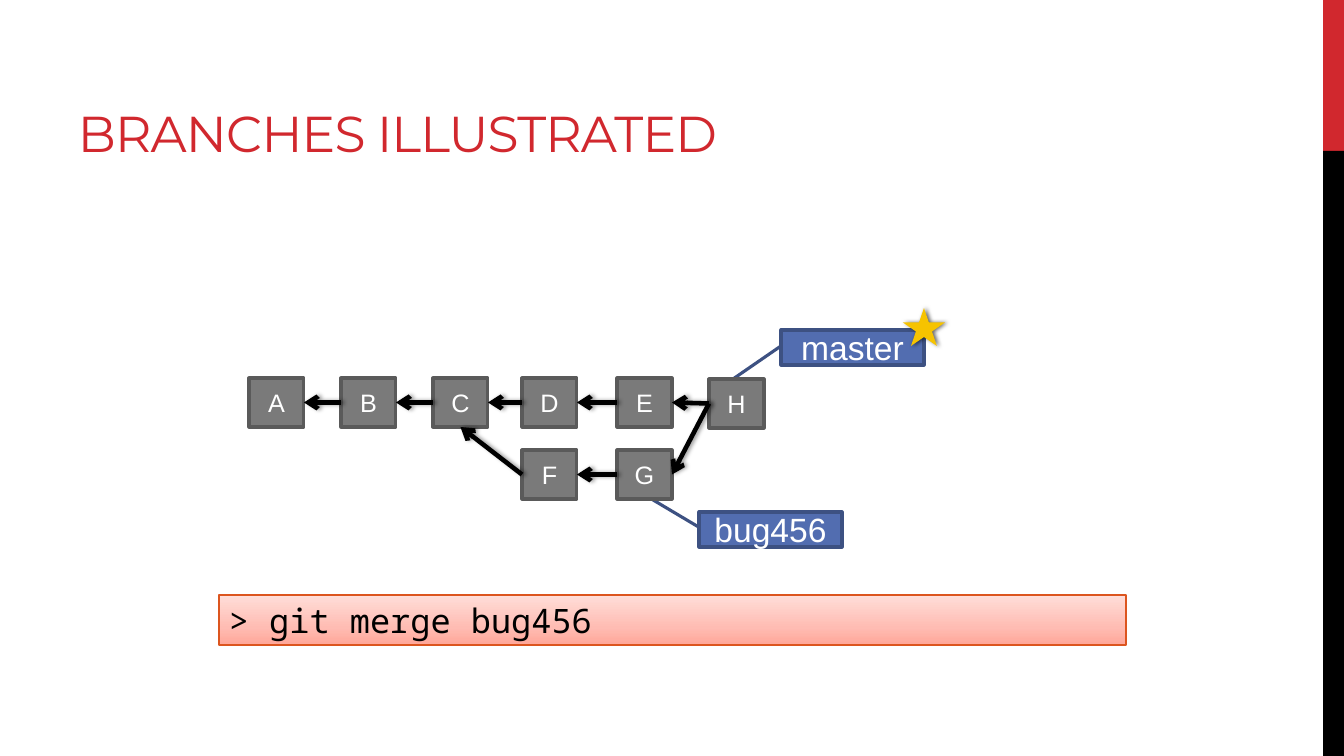
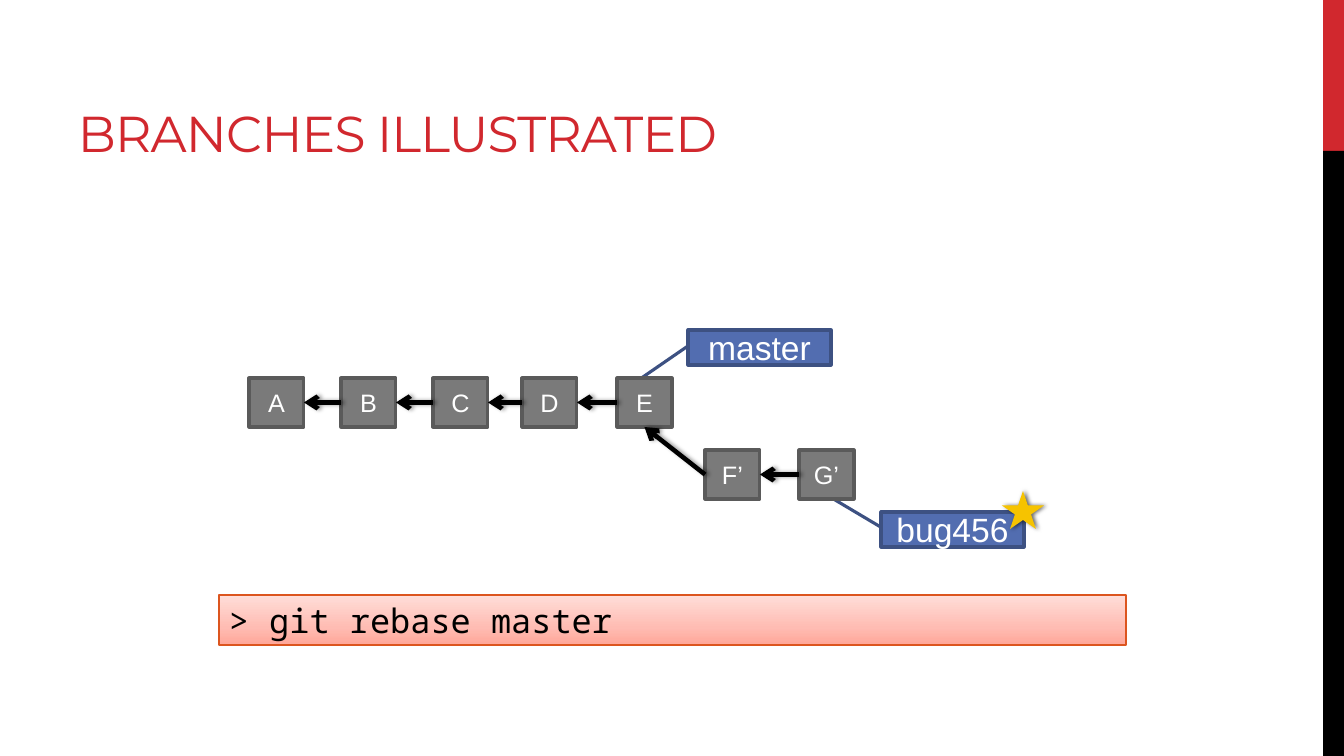
import copy
import pptx
import pptx.util
import pptx.dml.color
import pptx.enum.shapes
import pptx.enum.text
import pptx.oxml
import pptx.oxml.ns

PX = 9071  # EMU in one px
RED, BLACK, WHITE = "D1282E", "000000", "FFFFFF"
GREY, DARK = "7A7A7A", "5A5A5A"
BLUE, NAVY, GOLD, RUST = "526DB0", "3D5182", "F6C300", "DC551F"
BLUSH = [(0, "FFA698"), (0.35, "FFBCB3"), (1, "FFDED9")]
NODE_W, NODE_H = 55, 49
TOP, LOW = 378, 450

Pt = pptx.util.Pt
rgb = pptx.dml.color.RGBColor.from_string
form = pptx.enum.shapes.MSO_SHAPE
align = pptx.enum.text.PP_ALIGN
anchor = pptx.enum.text.MSO_ANCHOR
fit = pptx.enum.text.MSO_AUTO_SIZE


def box(slide, kind, at, fill, edge=None, text="", size=18):
    shape = slide.shapes.add_shape(kind, *[n * PX for n in at])
    shape.fill.solid()
    shape.fill.fore_color.rgb = rgb(fill)
    if edge:
        shape.line.color.rgb = rgb(edge)
        shape.line.width = Pt(2.25)
    else:
        shape.line.fill.background()
    if kind != form.STAR_5_POINT:
        shape.shadow.inherit = False
    if text:
        shape.text_frame.vertical_anchor = anchor.MIDDLE
        para = shape.text_frame.paragraphs[0]
        para.text = text
        para.alignment = align.CENTER
        para.font.name = "Arial"
        para.font.size = Pt(size)
        para.font.color.rgb = rgb(WHITE)
    return shape


def shade(shape, alpha, blur, dist):
    shape._element.spPr.append(pptx.oxml.parse_xml(
        f'<a:effectLst {pptx.oxml.ns.nsdecls("a")}>'
        f'<a:outerShdw blurRad="{Pt(blur)}" dist="{Pt(dist)}" dir="0" rotWithShape="0">'
        f'<a:srgbClr val="{BLACK}"><a:alpha val="{alpha * 1000}"/></a:srgbClr>'
        '</a:outerShdw></a:effectLst>'))


# Content: nodes (name, left, top), arrows (from, to, side of target),
# labels (text, left, top, pointer), star place, command
LEFT, BELOW = 1, 2
RIGHT = 3
MAIN = [("A", 249, TOP), ("B", 341, TOP), ("C", 433, TOP),
        ("D", 522, TOP), ("E", 617, TOP)]
CHAIN = [(b[0], a[0], RIGHT) for a, b in zip(MAIN, MAIN[1:])]
UP = [0.446, 0.004, 1.383, -0.329]
DOWN = [0.446, 0.004, -0.389, -0.34]
PAGES = [
    (MAIN + [("F", 522, LOW), ("G", 617, LOW), ("H", 709, TOP + 1)],
     CHAIN + [("F", "C", BELOW), ("G", "F", RIGHT),
              ("H", "E", RIGHT), ("H", "G", RIGHT)],
     [("master", 781, 330, UP), ("bug456", 699, 512, DOWN)],
     (903, 308), "> git merge bug456"),
    (MAIN + [("F’", 705, LOW), ("G’", 799, LOW)],
     CHAIN + [("F’", "E", BELOW), ("G’", "F’", RIGHT)],
     [("master", 688, 330, UP), ("bug456", 881, 512, DOWN)],
     (1002, 491), "> git rebase master"),
]

deck = pptx.Presentation()
deck.slide_width, deck.slide_height = 1344 * PX, 756 * PX

for nodes, arrows, labels, star, code in PAGES:
    slide = deck.slides.add_slide(deck.slide_layouts[6])

    # Side band
    box(slide, form.RECTANGLE, (1323, 0, 21, 151), RED)
    box(slide, form.RECTANGLE, (1323, 151, 21, 605), BLACK)

    # Title
    title = slide.shapes.add_textbox(68 * PX, 17 * PX, 851 * PX, 151 * PX)
    title.text_frame.word_wrap = True
    title.text_frame.vertical_anchor = anchor.BOTTOM
    para = title.text_frame.paragraphs[0]
    para.text = "BRANCHES ILLUSTRATED"
    para.font.name = "Montserrat"
    para.font.size = Pt(36)
    para.font.color.rgb = rgb(RED)
    para.runs[0].font._element.set("spc", "-60")

    # Branch labels
    for text, x, y, tip in labels:
        label = box(slide, form.LINE_CALLOUT_1, (x, y, 143, 35), BLUE, NAVY, text, 24)
        for i, part in enumerate(tip):
            label.adjustments[i] = part

    # Commits
    made = {name: box(slide, form.RECTANGLE, (x, y, NODE_W, NODE_H), GREY, DARK, name)
            for name, x, y in nodes}

    # Arrows to parent commits
    for start, end, side in arrows:
        line = slide.shapes.add_connector(
            pptx.enum.shapes.MSO_CONNECTOR.STRAIGHT, 0, 0, 0, 0)
        line.begin_connect(made[start], LEFT)
        line.end_connect(made[end], side)
        line.line.color.rgb = rgb(BLACK)
        line.line.width = Pt(3.25)
        line.line._get_or_add_ln().append(pptx.oxml.parse_xml(
            f'<a:tailEnd {pptx.oxml.ns.nsdecls("a")} type="arrow"/>'))
        shade(line, 40, 3.1, 1.8)

    # Command bar
    bar = box(slide, form.RECTANGLE, (219, 595, 907, 50), WHITE, RUST, code, 24)
    bar.line.width = Pt(1)
    bar.fill.gradient()
    bar.fill.gradient_angle = 90
    stops = bar._element.spPr.find(".//" + pptx.oxml.ns.qn("a:gsLst"))
    stops.append(copy.deepcopy(stops[0]))
    for stop, (place, tint) in zip(bar.fill.gradient_stops, BLUSH):
        stop.position = place
        stop.color.rgb = rgb(tint)
    bar.text_frame.vertical_anchor = anchor.TOP
    bar.text_frame.auto_size = fit.SHAPE_TO_FIT_TEXT
    para = bar.text_frame.paragraphs[0]
    para.alignment = align.LEFT
    para.font.name = "Noto Sans Mono"
    para.font.color.rgb = rgb(BLACK)

    # Star on the current branch
    mark = box(slide, form.STAR_5_POINT, (*star, 42, 38), GOLD)
    shade(mark, 60, 3, 1.5)

deck.save("out.pptx")
